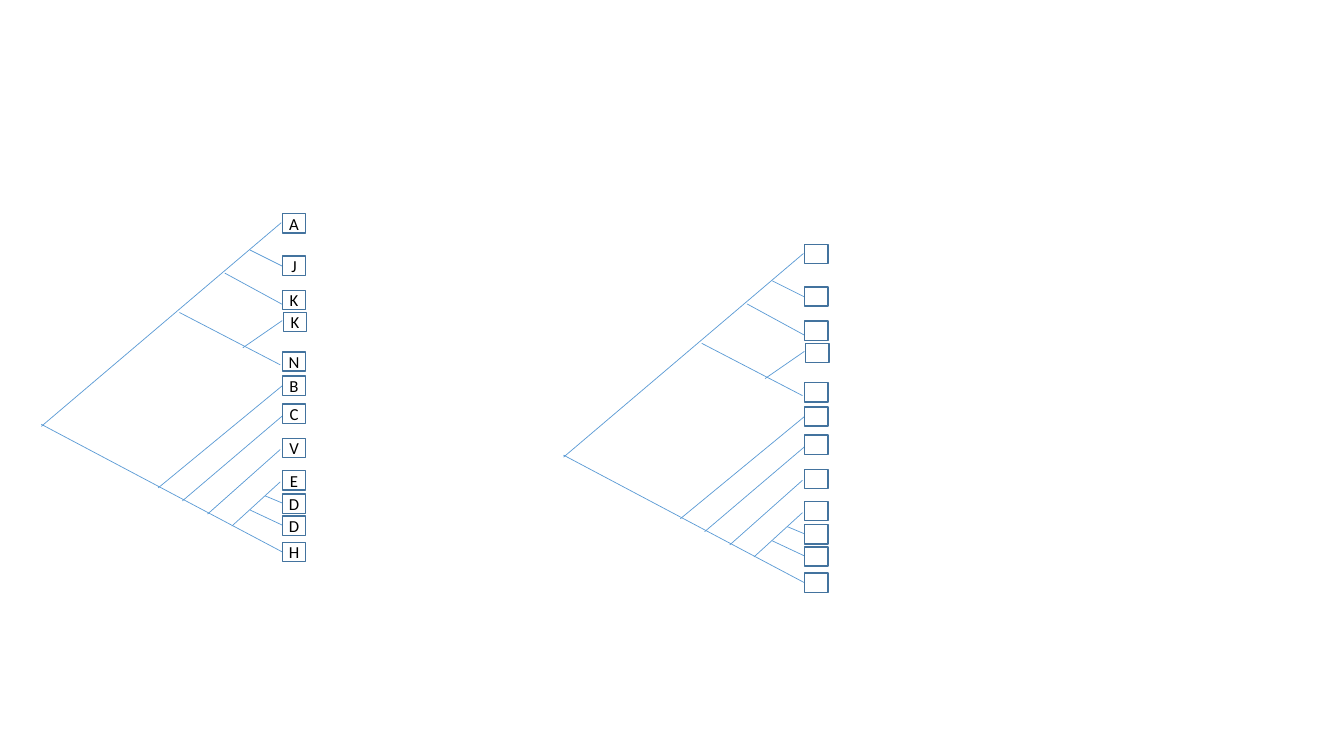
from dataclasses import dataclass

from lxml import etree
from pptx import Presentation
from pptx.dml.color import RGBColor
from pptx.enum.shapes import MSO_CONNECTOR, MSO_SHAPE
from pptx.enum.text import MSO_ANCHOR, PP_ALIGN
from pptx.oxml.ns import qn
from pptx.slide import Slide
from pptx.util import Pt

STRAIGHT = MSO_CONNECTOR.STRAIGHT
RECTANGLE = MSO_SHAPE.RECTANGLE
MIDDLE = MSO_ANCHOR.MIDDLE
CENTER = PP_ALIGN.CENTER
BLANK_LAYOUT = 6


@dataclass(frozen=True)
class Theme:
    branch: RGBColor = RGBColor(0x5B, 0x9B, 0xD5)
    outline: RGBColor = RGBColor(0x43, 0x73, 0x9E)
    box_fill: RGBColor = RGBColor(0xFF, 0xFF, 0xFF)
    text: RGBColor = RGBColor(0, 0, 0)
    font: str = "Calibri"
    text_size: float = 12
    branch_width: float = 0.5
    outline_width: float = 1


@dataclass(frozen=True)
class Branch:
    start_x: float
    start_y: float
    end_x: float
    end_y: float


@dataclass(frozen=True)
class Leaf:
    label: str
    top: float
    left: float = 201.6


@dataclass(frozen=True)
class Tree:
    shift_x: float
    shift_y: float
    labelled: bool


THEME = Theme()
LEAF_WIDTH, LEAF_HEIGHT = 16.8, 13.8

# Tree geometry, shared by both trees
BRANCHES = [
    Branch(29.5, 303.1, 202.3, 394.6),
    Branch(113, 348.5, 202.3, 275),
    Branch(29.5, 304.6, 200.9, 159.1),
    Branch(178.6, 178.6, 201.6, 190.1),
    Branch(160.6, 195.1, 201.6, 217.4),
    Branch(128.2, 223.2, 200.2, 260.6),
    Branch(130.3, 357.8, 202.3, 296.6),
    Branch(148.3, 367.2, 200.2, 321.1),
    Branch(165.6, 375.8, 200.2, 344.2),
    Branch(178.6, 364.3, 201.6, 375.1),
    Branch(189.4, 354.2, 201.6, 359.3),
    Branch(173.5, 248.4, 201.6, 229),
]
LEAVES = [
    Leaf("A", 152.6), Leaf("J", 182.9), Leaf("K", 207.4),
    Leaf("K", 223.2, left=202.3), Leaf("N", 251.3), Leaf("B", 268.6),
    Leaf("C", 288.7), Leaf("V", 313.2), Leaf("E", 336.2),
    Leaf("D", 352.8), Leaf("D", 368.6), Leaf("H", 387.4),
]
TREES = [Tree(0, 0, True), Tree(373, 22, False)]


def draw_branch(slide: Slide, branch: Branch, tree: Tree) -> None:
    connector = slide.shapes.add_connector(
        STRAIGHT,
        Pt(branch.start_x + tree.shift_x), Pt(branch.start_y + tree.shift_y),
        Pt(branch.end_x + tree.shift_x), Pt(branch.end_y + tree.shift_y),
    )
    connector.line.color.rgb = THEME.branch
    connector.line.width = Pt(THEME.branch_width)
    etree.SubElement(connector._element.spPr, qn("a:effectLst"))


def draw_leaf(slide: Slide, leaf: Leaf, tree: Tree) -> None:
    box = slide.shapes.add_shape(
        RECTANGLE,
        Pt(leaf.left + tree.shift_x), Pt(leaf.top + tree.shift_y),
        Pt(LEAF_WIDTH), Pt(LEAF_HEIGHT),
    )
    box.shadow.inherit = False
    box.fill.solid()
    box.fill.fore_color.rgb = THEME.box_fill
    box.line.color.rgb = THEME.outline
    box.line.width = Pt(THEME.outline_width)
    if tree.labelled:
        write_label(box.text_frame, leaf.label)


def write_label(frame, label: str) -> None:
    frame.margin_left = frame.margin_right = Pt(0)
    frame.margin_top = frame.margin_bottom = Pt(0)
    frame.vertical_anchor = MIDDLE
    frame.text = label
    paragraph = frame.paragraphs[0]
    paragraph.alignment = CENTER
    font = paragraph.runs[0].font
    font.name = THEME.font
    font.size = Pt(THEME.text_size)
    font.color.rgb = THEME.text


def draw_tree(slide: Slide, tree: Tree) -> None:
    for branch in BRANCHES:
        draw_branch(slide, branch, tree)
    for leaf in LEAVES:
        draw_leaf(slide, leaf, tree)


# Slide
presentation = Presentation()
presentation.slide_width, presentation.slide_height = Pt(960), Pt(540)
slide = presentation.slides.add_slide(presentation.slide_layouts[BLANK_LAYOUT])

# Labelled tree on the left, empty tree on the right
for tree in TREES:
    draw_tree(slide, tree)

presentation.save("out.pptx")
